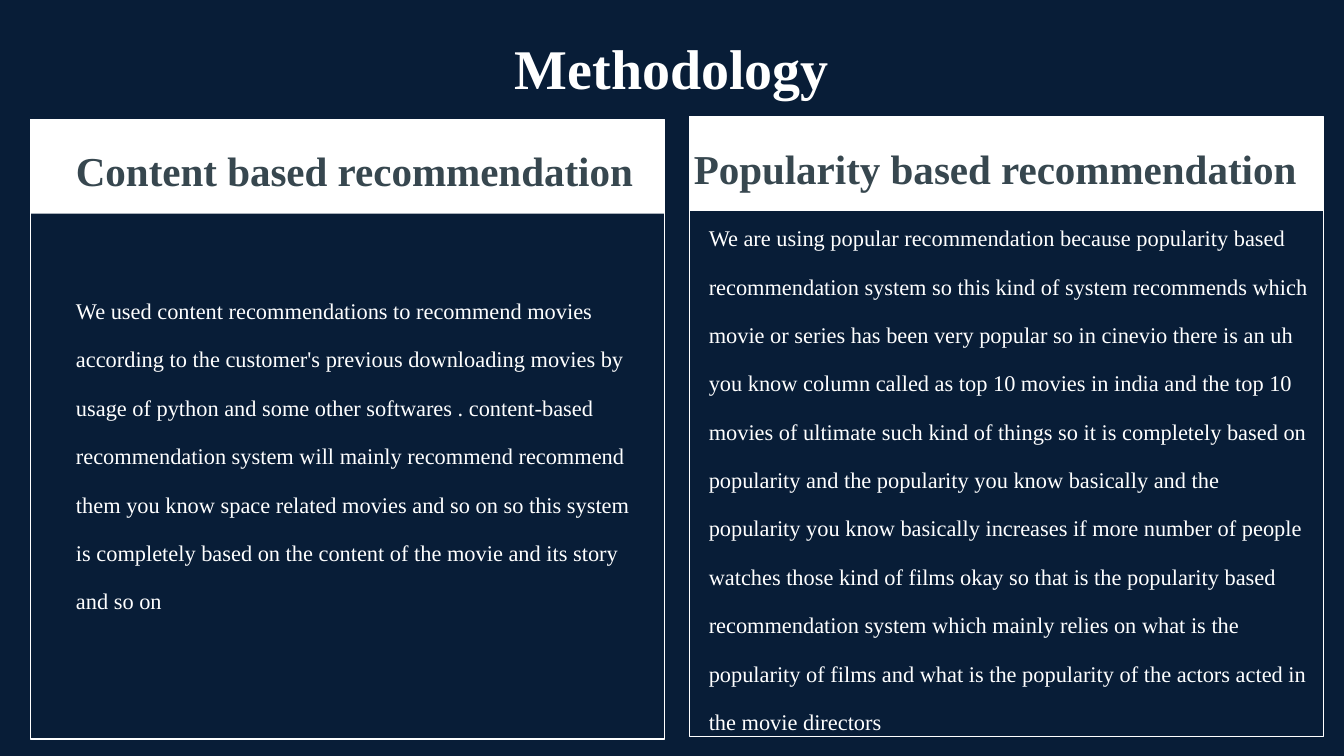
"""Builds a methodology slide comparing two recommendation approaches."""
from dataclasses import dataclass

from lxml.etree import SubElement
from pptx import Presentation
from pptx.dml.color import RGBColor
from pptx.enum.shapes import MSO_SHAPE
from pptx.enum.text import MSO_ANCHOR, MSO_AUTO_SIZE, PP_ALIGN
from pptx.oxml.ns import qn
from pptx.shapes.placeholder import SlidePlaceholder
from pptx.slide import Slide
from pptx.util import Pt

COLORS = {"navy": "081D37", "white": "FFFFFF", "slate": "37474F"}
FONT = "Times New Roman"
BAND_HEIGHT = 50.5
FRAME_HEIGHT = 332
PANEL_WIDTH = 339.5
INSET = 7.2


@dataclass(frozen=True)
class Box:
    left: float
    top: float
    width: float
    height: float

    def lengths(self) -> tuple[Pt, Pt, Pt, Pt]:
        return Pt(self.left), Pt(self.top), Pt(self.width), Pt(self.height)


@dataclass(frozen=True)
class TextStyle:
    size: float
    color: str
    bold: bool = False
    align: PP_ALIGN = PP_ALIGN.LEFT
    line_spacing: float = 1.0
    margin: float = 0
    indent: float = 0


@dataclass(frozen=True)
class Panel:
    left: float
    top: float
    heading: str
    heading_box: Box
    body: str
    body_box: Box
    heading_index: int
    body_index: int


TITLE = TextStyle(30, "white", bold=True, align=PP_ALIGN.CENTER)
HEADING = TextStyle(22, "slate", bold=True, line_spacing=1.15, margin=36, indent=-27)
BODY = TextStyle(12, "white", line_spacing=1.8, margin=9)

PANELS = [
    Panel(
        16.5, 64,
        "Content based recommendation", Box(24.5, 67, 327, 36),
        "We used content recommendations to recommend movies according to the "
        "customer's previous downloading movies by usage of python and some other "
        "softwares . content-based recommendation system will mainly recommend "
        "recommend them you know space related movies and so on so this system is "
        "completely based on the content of the movie and its story and so on",
        Box(24.5, 140.5, 327, 227), 1, 2,
    ),
    Panel(
        369.5, 62.5,
        "Popularity based recommendation", Box(355.5, 65.5, 393, 36),
        "We are using popular recommendation because popularity based recommendation "
        "system so this kind of system recommends which movie or series has been very "
        "popular so in cinevio there is an uh you know column called as top 10 movies "
        "in india and the top 10 movies of ultimate such kind of things so it is "
        "completely based on popularity and the popularity you know basically and the "
        "popularity you know basically increases if more number of people watches "
        "those kind of films okay so that is the popularity based recommendation "
        "system which mainly relies on what is the popularity of films and what is "
        "the popularity of the actors acted in the movie directors",
        Box(363.5, 101.5, 345, 340), 3, 4,
    ),
]


def color(name: str) -> RGBColor:
    return RGBColor.from_string(COLORS[name])


def fill_placeholder(
    slide: Slide, placeholder: SlidePlaceholder, text: str, box: Box, style: TextStyle
) -> None:
    placeholder.left, placeholder.top, placeholder.width, placeholder.height = box.lengths()
    text_frame = placeholder.text_frame
    text_frame.text = text
    text_frame.word_wrap = True
    text_frame.auto_size = MSO_AUTO_SIZE.NONE
    text_frame.vertical_anchor = MSO_ANCHOR.TOP
    text_frame.margin_left = text_frame.margin_right = Pt(INSET)
    text_frame.margin_top = text_frame.margin_bottom = Pt(INSET)
    paragraph = text_frame.paragraphs[0]
    paragraph.alignment = style.align
    paragraph.line_spacing = style.line_spacing
    paragraph.space_before = paragraph.space_after = Pt(0)
    properties = paragraph._p.get_or_add_pPr()
    properties.set("marL", str(Pt(style.margin)))
    properties.set("indent", str(Pt(style.indent)))
    SubElement(properties, qn("a:buNone"))
    font = paragraph.runs[0].font
    font.name = FONT
    font.size = Pt(style.size)
    font.bold = style.bold
    font.color.rgb = color(style.color)
    slide.shapes._spTree.append(placeholder._element)


def draw_panel(slide: Slide, panel: Panel) -> None:
    group = slide.shapes.add_group_shape()
    band, frame = (
        group.shapes.add_shape(
            MSO_SHAPE.RECTANGLE, *Box(panel.left, panel.top, PANEL_WIDTH, height).lengths()
        )
        for height in (BAND_HEIGHT, FRAME_HEIGHT)
    )
    band.shadow.inherit = frame.shadow.inherit = False
    band.fill.solid()
    band.fill.fore_color.rgb = color("white")
    band.line.fill.background()
    frame.fill.background()
    frame.line.color.rgb = color("white")
    frame.line.width = Pt(0.75)
    placeholders = {
        placeholder.placeholder_format.idx: placeholder for placeholder in slide.placeholders
    }
    fill_placeholder(
        slide, placeholders[panel.heading_index], panel.heading, panel.heading_box, HEADING
    )
    fill_placeholder(slide, placeholders[panel.body_index], panel.body, panel.body_box, BODY)


def main() -> None:
    presentation = Presentation()
    presentation.slide_width, presentation.slide_height = Pt(720), Pt(405)
    slide = presentation.slides.add_slide(
        presentation.slide_layouts.get_by_name("Comparison")
    )
    slide.background.fill.solid()
    slide.background.fill.fore_color.rgb = color("navy")
    fill_placeholder(slide, slide.shapes.title, "Methodology", Box(24.5, 11, 671, 45), TITLE)
    for panel in PANELS:
        draw_panel(slide, panel)
    presentation.save("out.pptx")


if __name__ == "__main__":
    main()
